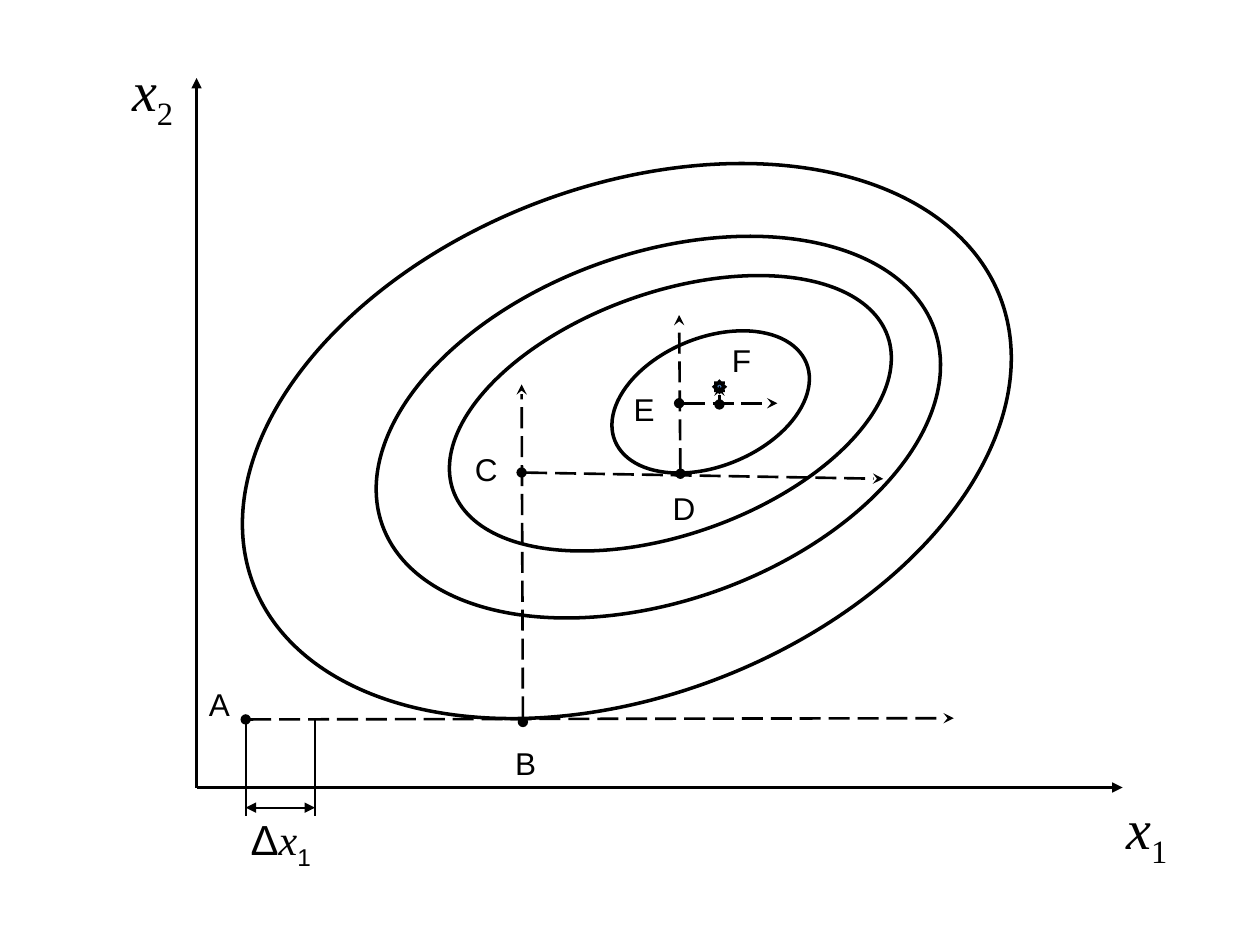
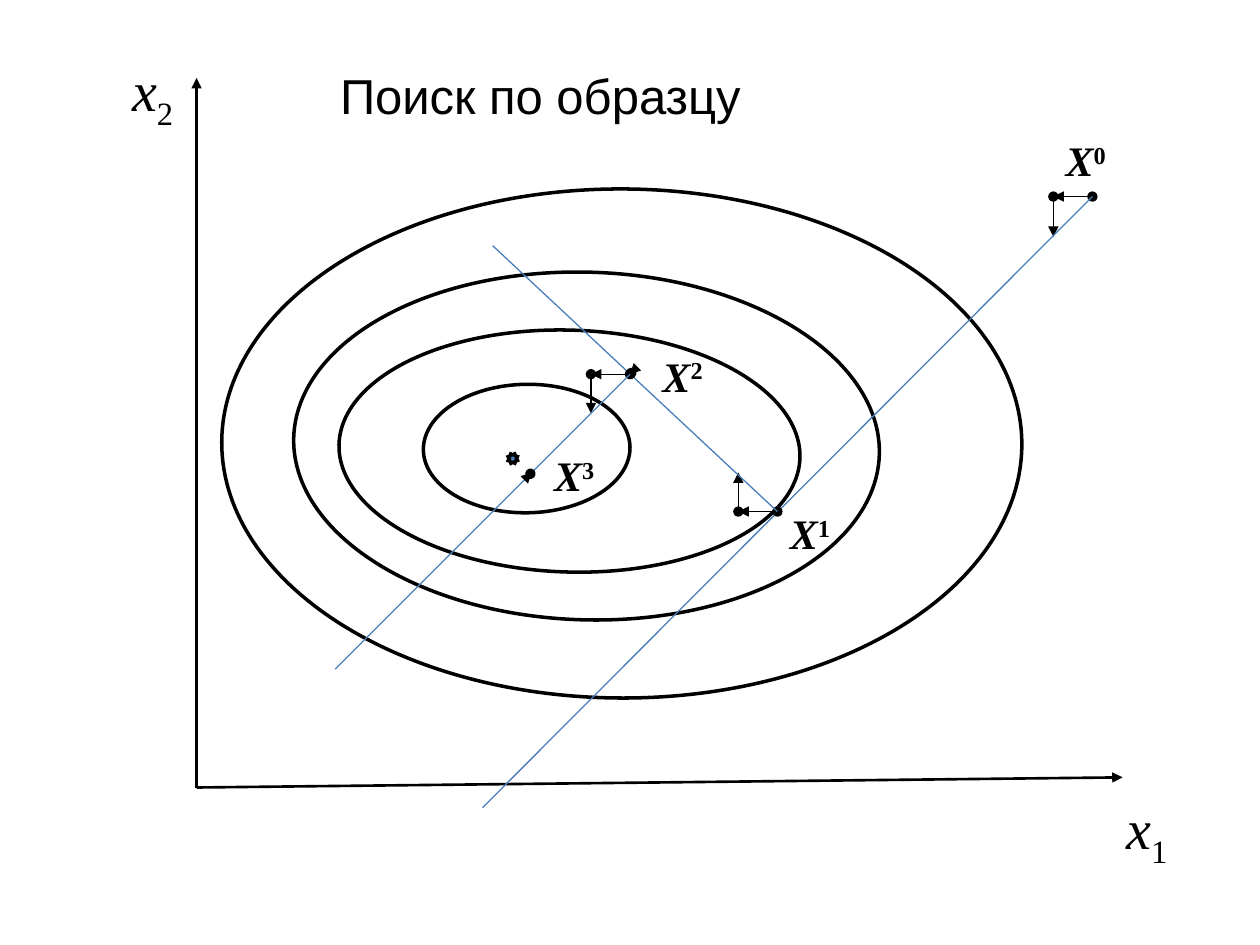
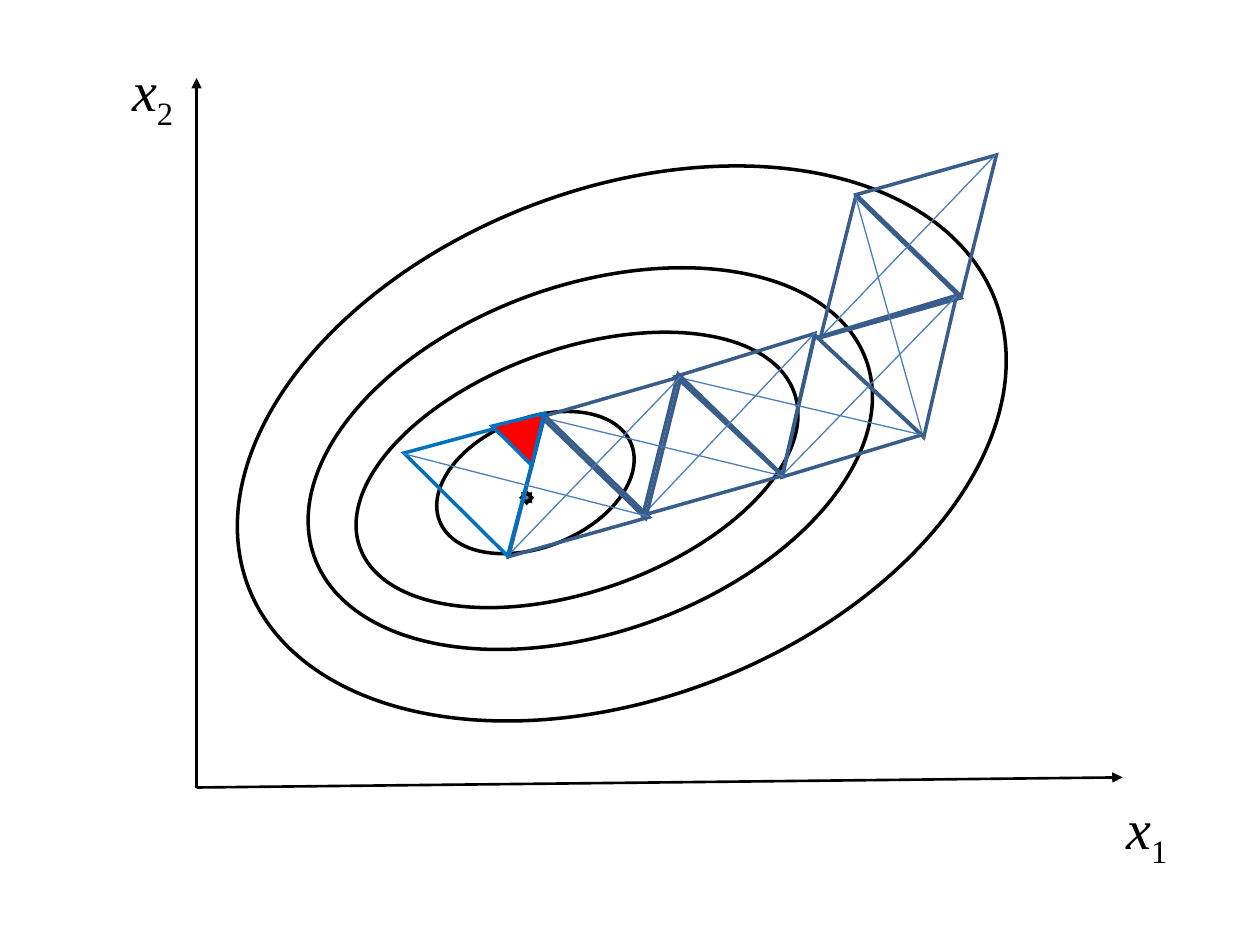
import math
import pptx
import pptx.util
import pptx.dml.color
import pptx.enum.dml
import pptx.enum.shapes
import pptx.enum.text
import pptx.oxml.ns
import lxml.etree

# Content: lengths in grid cells, 10 columns by 7.5 rows
COLS, ROWS = 10, 7.5
BLACK, BLUE, NAVY, SKY, RED, STAR = (
    "000000", "4A7EBB", "385D8A", "0070C0", "FF0000", "4F81BD")

# Text styles: one format dict and the shift of the index
SERIF, SANS = "Times New Roman", "Arial"
STYLES = {
    "axis": ({"name": SERIF, "size": 32, "italic": True}, 0),
    "sub": ({"name": SERIF, "size": 32}, -25),
    "point": ({"name": SERIF, "size": 24, "italic": True, "bold": True}, 0),
    "index": ({"name": SERIF, "size": 24, "bold": True}, 30),
    "mark": ({"name": SANS, "size": 18}, 0),
    "title": ({"name": SANS, "size": 28}, 0),
    "delta": ({"name": SANS, "size": 24}, 0),
    "step": ({"name": SERIF, "size": 24, "italic": True}, 0),
    "low": ({"name": SANS, "size": 24}, -25),
}

# Line styles: colour, weight, dash, head, tail
LINES = {
    "axis": (BLACK, 1.5, False, None, "triangle"),
    "search": (BLACK, 1.5, True, "oval", "stealth"),
    "tick": (BLACK, 1, False, None, None),
    "span": (BLACK, 1, False, "triangle", "triangle"),
    "probe": (BLACK, 0.75, False, "oval", "triangle"),
    "ray": (BLUE, 0.75, False, None, None),
}

# Level curves share their sizes; each slide places and turns them
RINGS = [(6.35, 4.04), (4.65, 2.76), (3.66, 1.92), (1.64, 1.02)]
SIDE, TALL = 1.16, 1

DESCENT = {
    "rings": [(1.8, 1.48, 159), (2.9, 2.01, 160.5), (3.49, 2.32, 160.4),
              (4.82, 2.68, 157.9)],
    "star": (5.71, 3.07, 0),
    "end": 6.25,
    "lines": [
        ("search", 1.95, 5.71, 7.57, 5.7),
        ("tick", 1.95, 5.7, 1.95, 6.48),
        ("tick", 2.5, 5.7, 2.5, 6.48),
        ("span", 1.95, 6.41, 2.5, 6.41),
        ("search", 4.15, 5.73, 4.14, 3.05),
        ("search", 4.14, 3.75, 7.01, 3.8),
        ("search", 5.4, 3.76, 5.39, 2.5),
        ("search", 5.39, 3.2, 6.17, 3.2),
        ("search", 5.71, 3.21, 5.71, 3.06),
    ],
    "texts": [
        (1.56, 5.39, 0.36, 0.4, [("A", "mark")]),
        (3.99, 5.86, 0.36, 0.4, [("B", "mark")]),
        (3.67, 3.52, 0.38, 0.4, [("C", "mark")]),
        (5.24, 3.83, 0.38, 0.4, [("D", "mark")]),
        (4.93, 3.05, 0.36, 0.4, [("E", "mark")]),
        (5.71, 2.66, 0.35, 0.4, [("F", "mark")]),
        (1.89, 6.41, 0.68, 0.56,
         [("Δ", "delta"), ("x", "step"), ("1", "low")]),
    ],
}

PATTERN = {
    "rings": [(1.76, 1.5, 0.2), (2.33, 2.16, 1.7), (2.69, 2.62, 1.7),
              (3.36, 3.05, 359.2)],
    "star": (4.07, 3.64, 21.2),
    "end": 6.17,
    "lines": [
        ("probe", 8.67, 1.56, 8.36, 1.56),
        ("probe", 8.36, 1.56, 8.36, 1.88),
        ("ray", 8.67, 1.56, 3.83, 6.41),
        ("probe", 6.17, 4.06, 5.86, 4.06),
        ("probe", 5.86, 4.06, 5.86, 3.75),
        ("ray", 6.17, 4.06, 3.91, 1.95),
        ("probe", 5.01, 2.96, 5, 2.97),
        ("probe", 4.69, 2.97, 4.69, 3.28),
        ("probe", 5, 2.97, 4.69, 2.97),
        ("ray", 5, 2.97, 2.66, 5.31),
        ("probe", 4.21, 3.76, 4.22, 3.75),
    ],
    "texts": [(2.6, 0.47, 3.38, 0.57, [("Поиск по образцу", "title")])] + [
        (x, y, 0.7, 0.5, [("X", "point"), (str(n), "index")])
        for n, (x, y) in enumerate(
            [(8.36, 1.02), (6.17, 3.98), (5.16, 2.73), (4.3, 3.52)])],
}

SIMPLEX = {
    "rings": [(1.76, 1.5, 339), (2.36, 2.26, 340.5), (2.75, 2.77, 340.4),
              (3.43, 3.32, 337.9)],
    "star": (4.18, 3.95, 0),
    "end": 6.17,
    # Each step: triangle (left, top, turn), then the ray of its reflection
    "steps": [
        ((6.98, 1.09, 44.1), None),
        ((6.28, 1.82, 224.1), (7.9, 1.23, 6.51, 2.68)),
        ((6.67, 2.21, 43.1), (6.79, 1.56, 7.33, 3.48)),
        ((5.97, 2.92, 223.1), (7.59, 2.35, 6.2, 3.78)),
        ((5.27, 2.6, 282.9), (7.31, 3.45, 5.36, 2.99)),
        ((4.87, 3.23, 224.1), (6.47, 2.64, 5.1, 4.09)),
        ((4.2, 2.93, 284), (6.22, 3.78, 4.29, 3.31)),
        ((3.88, 3.28, 344.3), (5.4, 2.99, 4.03, 4.41)),
        ((3.39, 3.15, 44.8), (5.15, 4.1, 3.2, 3.6)),
    ],
    "last": (3.97, 3.23, 44.8),
}

# Helpers
deck = pptx.Presentation()
deck.slide_width = pptx.util.Inches(COLS)
deck.slide_height = pptx.util.Inches(ROWS)
CELL = deck.slide_width / COLS
KIND = pptx.enum.shapes.MSO_SHAPE


def grid(*cells):
    return [round(c * CELL) for c in cells]


def tint(code):
    return pptx.dml.color.RGBColor.from_string(code)


def child(node, tag, **attrs):
    name = pptx.oxml.ns.qn("a:" + tag)
    return lxml.etree.SubElement(node, name, attrs)


def style(shape, edge, fill=None, turn=0):
    shape.shadow.inherit = False
    shape.rotation = turn
    shape.line.color.rgb = tint(edge)
    shape.line.width = pptx.util.Pt(2)
    child(shape.line._get_or_add_ln(), "miter", lim="800000")
    if fill:
        shape.fill.solid()
        shape.fill.fore_color.rgb = tint(fill)
    else:
        shape.fill.background()


def draw(shapes, kind, box, edge, fill=None, turn=0):
    shape = shapes.add_shape(kind, *grid(*box))
    style(shape, edge, fill, turn)


def star(shapes, x, y, turn):
    spots = []
    for i in range(16):
        size = 0.03 if i % 2 else 0.04
        angle = i * math.pi / 8
        spots.append(grid(x + size * math.cos(angle),
                          y + size * math.sin(angle)))
    pen = shapes.build_freeform(*spots[0])
    pen.add_line_segments(spots[1:], close=True)
    style(pen.convert_to_shape(), BLACK, STAR, turn)


def link(slide, kind, *ends):
    color, weight, dash, head, tail = LINES[kind]
    wire = slide.shapes.add_connector(
        pptx.enum.shapes.MSO_CONNECTOR.STRAIGHT, *grid(*ends))
    wire.line.color.rgb = tint(color)
    wire.line.width = pptx.util.Pt(weight)
    if dash:
        wire.line.dash_style = pptx.enum.dml.MSO_LINE.LONG_DASH
    for tag, tip in (("headEnd", head), ("tailEnd", tail)):
        if tip:
            child(wire.line._get_or_add_ln(), tag, type=tip)
    child(wire._element.spPr, "effectLst")


def label(slide, x, y, w, h, runs):
    frame = slide.shapes.add_textbox(*grid(x, y, w, h)).text_frame
    frame.word_wrap = False
    frame.auto_size = pptx.enum.text.MSO_AUTO_SIZE.SHAPE_TO_FIT_TEXT
    for text, name in runs:
        run = frame.paragraphs[0].add_run()
        run.text = text
        look, shift = STYLES[name]
        for key, value in look.items():
            setattr(run.font, key,
                    pptx.util.Pt(value) if key == "size" else value)
        run.font.color.rgb = tint(BLACK)
        if shift:
            run._r.get_or_add_rPr().set("baseline", str(shift * 1000))


def base(plan):
    """Blank slide with level curves, optimum and axes."""
    slide = deck.slides.add_slide(deck.slide_layouts[6])
    curves = slide.shapes.add_group_shape().shapes
    for (x, y, turn), size in zip(plan["rings"], RINGS):
        draw(curves, KIND.OVAL, (x, y, *size), BLACK, turn=turn)
    star(curves, *plan["star"])
    link(slide, "axis", 1.56, 6.25, 1.56, 0.62)
    link(slide, "axis", 1.56, 6.25, 8.91, plan["end"])
    for x, y, n in ((0.95, 0.39, "2"), (8.84, 6.25, "1")):
        label(slide, x, y, 0.54, 0.71, [("x", "axis"), (n, "sub")])
    return slide


# Slides
for plan in (DESCENT, PATTERN, SIMPLEX):
    slide = base(plan)
    for line in plan.get("lines", []):
        link(slide, *line)
    for text in plan.get("texts", []):
        label(slide, *text)
    steps = plan.get("steps", [])
    for i, ((x, y, turn), ray) in enumerate(steps, 1):
        edge = SKY if i == len(steps) else NAVY
        draw(slide.shapes, KIND.ISOSCELES_TRIANGLE, (x, y, SIDE, TALL),
             edge, turn=turn)
        if ray:
            link(slide, "ray", *ray)
    if "last" in plan:
        x, y, turn = plan["last"]
        draw(slide.shapes, KIND.ISOSCELES_TRIANGLE, (x, y, 0.44, 0.36),
             SKY, RED, turn)

deck.save("out.pptx")
